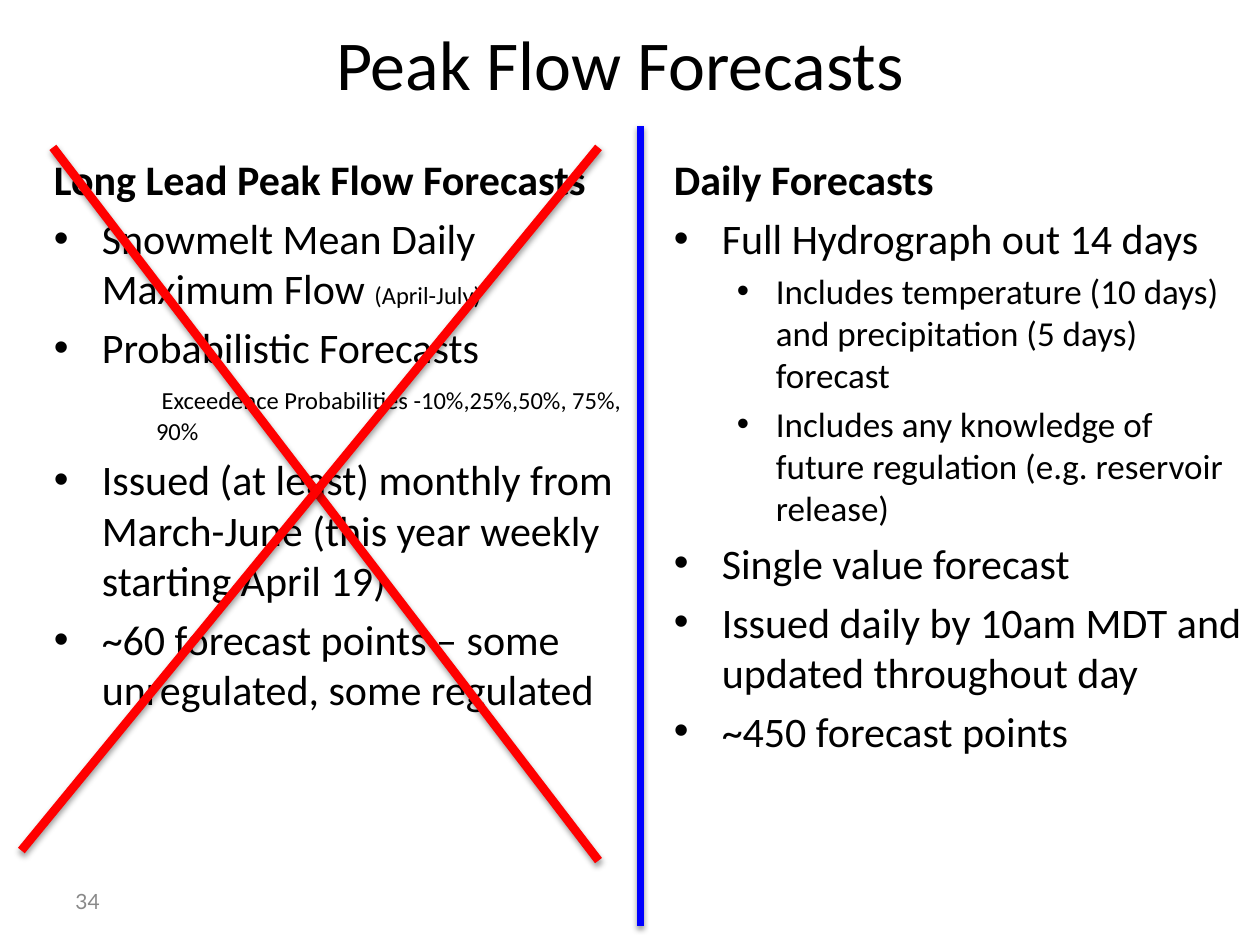
from lxml import etree
from pptx import Presentation
from pptx import util as u
from pptx.dml.color import RGBColor
from pptx.enum import shapes, text
from pptx.oxml import parse_xml
from pptx.oxml.ns import nsdecls, qn

COLORS = {"text": "000000", "number": "898989", "divider": "0000FF", "cross": "FF0000"}
INDENTS = {"bullet": (0.38, -0.38), "sub": (0.81, -0.31), "plain_sub": (0.81, -0.31)}
SHADOW = (
    f'<a:effectLst {nsdecls("a")}><a:outerShdw blurRad="{u.Pt(3.1)}" dist="{u.Pt(1.6)}" '
    'dir="5400000" rotWithShape="0"><a:srgbClr val="000000"><a:alpha val="38000"/>'
    "</a:srgbClr></a:outerShdw></a:effectLst>"
)
LONG_LEAD = [
    ("heading", [("Long Lead Peak Flow Forecasts", 24)]),
    ("bullet", [("Snowmelt Mean Daily Maximum Flow ", 24), ("(April-July)", 14)]),
    ("bullet", [("Probabilistic Forecasts", 24)]),
    ("plain_sub", [("\t", 18), (" Exceedence Probabilities -10%,25%,50%, 75%, 90%", 14)]),
    ("bullet", [("Issued (at least) monthly from March-June (this year weekly starting April 19)", 24)]),
    ("bullet", [("~60 forecast points – some unregulated, some regulated", 24)]),
]
DAILY = [
    ("heading", [("Daily Forecasts", 24)]),
    ("bullet", [("Full Hydrograph out 14 days", 24)]),
    ("sub", [("Includes temperature (10 days) and precipitation (5 days) forecast", 20)]),
    ("sub", [("Includes any knowledge of future regulation (e.g. reservoir release)", 20)]),
    ("bullet", [("Single value forecast", 24)]),
    ("bullet", [("Issued daily by 10am MDT and updated throughout day", 24)]),
    ("bullet", [("~450 forecast points", 24)]),
]


class SlideBuilder:
    """Holds the style and the current slide, and adds its elements."""

    def __init__(self, slide, font="Calibri"):
        self.slide = slide
        self.font = font

    def text_box(self, box, paragraphs, color="text", font=None, **paragraph_format):
        frame = self.slide.shapes.add_textbox(*map(u.Inches, box)).text_frame
        frame.word_wrap = True
        for index, (kind, runs) in enumerate(paragraphs):
            paragraph = frame.add_paragraph() if index else frame.paragraphs[0]
            self.indent(paragraph, kind)
            if index:
                paragraph.space_before = u.Pt(0.2 * runs[0][1])
            for name, value in paragraph_format.items():
                setattr(paragraph, name, value)
            for content, size in runs:
                run = paragraph.add_run()
                run.text = content
                style = {"name": font or self.font, "size": u.Pt(size), "bold": kind == "heading"}
                for name, value in style.items():
                    setattr(run.font, name, value)
                run.font.color.rgb = RGBColor.from_string(COLORS[color])
        return frame

    def indent(self, paragraph, kind):
        if kind not in INDENTS:
            return
        properties = paragraph._p.get_or_add_pPr()
        for name, value in zip(("marL", "indent"), INDENTS[kind]):
            properties.set(name, str(u.Inches(value)))
        if kind == "plain_sub":
            etree.SubElement(properties, qn("a:buNone"))
        else:
            etree.SubElement(properties, qn("a:buFont"), typeface="Arial")
            etree.SubElement(properties, qn("a:buChar"), char="•")
        if kind != "bullet":
            paragraph.level = 1

    def line(self, start, end, color, width, parent=None):
        points = map(u.Inches, (*start, *end))
        owner = parent or self.slide
        line = owner.shapes.add_connector(shapes.MSO_CONNECTOR.STRAIGHT, *points)
        line.line.color.rgb = RGBColor.from_string(COLORS[color])
        line.line.width = u.Pt(width)
        line._element.spPr.append(parse_xml(SHADOW))

    def cross(self, strokes):
        group = self.slide.shapes.add_group_shape()
        for start, end in strokes:
            self.line(start, end, "cross", 5, group)


def main():
    presentation = Presentation()
    presentation.slide_width, presentation.slide_height = u.Inches(10), u.Inches(7.5)
    builder = SlideBuilder(presentation.slides.add_slide(presentation.slide_layouts[6]))

    title = [("title", [("Peak Flow Forecasts", 40)])]
    frame = builder.text_box((0.42, 0, 9, 1), title, alignment=text.PP_ALIGN.CENTER)
    frame.vertical_anchor = text.MSO_ANCHOR.MIDDLE
    builder.text_box((0.33, 1.17, 4.75, 5.75), LONG_LEAD)
    number = [("number", [("34", 12)])]
    frame = builder.text_box((0.5, 6.95, 2.33, 0.4), number, "number", "Lato")
    frame.vertical_anchor = text.MSO_ANCHOR.MIDDLE
    builder.line((5.08, 1), (5.08, 7.35), "divider", 4)
    builder.text_box((5.25, 1.17, 4.75, 5.75), DAILY)
    builder.cross([((0.42, 1.17), (4.75, 6.83)), ((4.75, 1.17), (0.17, 6.75))])

    presentation.save("out.pptx")


if __name__ == "__main__":
    main()
